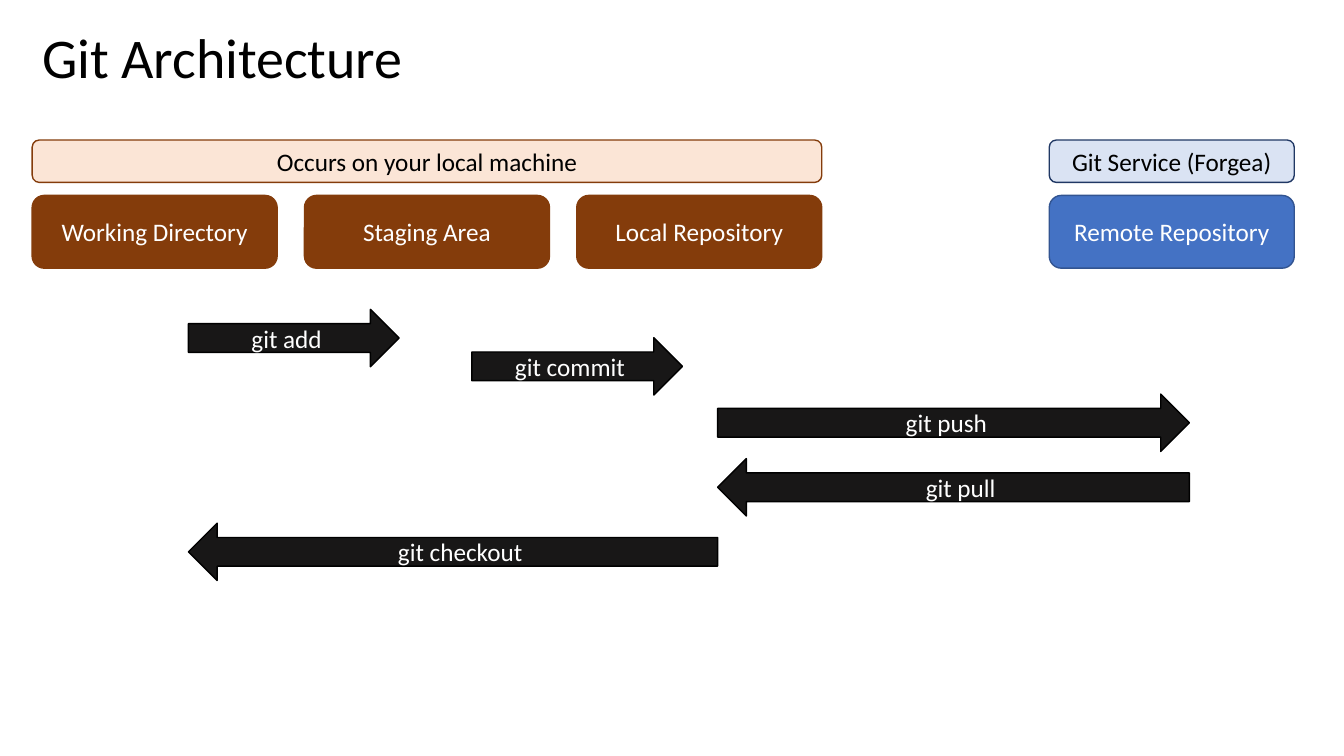
from pptx import Presentation
from pptx.dml.color import RGBColor
from pptx.enum.shapes import MSO_SHAPE as Preset
from pptx.enum.text import MSO_ANCHOR as Anchor, MSO_AUTO_SIZE as AutoSize, PP_ALIGN as Align
from pptx.util import Pt

FONT = "Calibri"
BLACK, WHITE, BROWN = "000000", "FFFFFF", "843C0B"
BANNER_HEIGHT, AREA_HEIGHT, AREA_OFFSET = 30.3, 52, 39.6
AREA_WIDTH, AREA_GAP = 175, 19.5
ARROW_HEIGHT = 41


def color(value):
    return RGBColor.from_string(value)


def style_text(paragraph, text, size, text_color):
    paragraph.text = text
    paragraph.font.name = FONT
    paragraph.font.size = Pt(size)
    paragraph.font.color.rgb = color(text_color)


def add_title(slide, left, top, width, height, text):
    title = slide.shapes.add_textbox(Pt(left), Pt(top), Pt(width), Pt(height))
    title.text_frame.word_wrap = True
    title.text_frame.auto_size = AutoSize.SHAPE_TO_FIT_TEXT
    style_text(title.text_frame.paragraphs[0], text, 40, BLACK)


def add_label(slide, preset, box, text, fill, line, text_color):
    shape = slide.shapes.add_shape(preset, *map(Pt, box))
    shape.shadow.inherit = False
    shape.fill.solid()
    shape.fill.fore_color.rgb = color(fill)
    shape.line.color.rgb = color(line)
    shape.line.width = Pt(1)
    frame = shape.text_frame
    frame.word_wrap = True
    frame.vertical_anchor = Anchor.MIDDLE
    style_text(frame.paragraphs[0], text, 18, text_color)
    frame.paragraphs[0].alignment = Align.CENTER


def add_host(slide, left, top, name, areas, banner_colors, area_colors):
    step = AREA_WIDTH + AREA_GAP
    width = len(areas) * step - AREA_GAP
    add_label(slide, Preset.ROUNDED_RECTANGLE, (left, top, width, BANNER_HEIGHT),
              name, *banner_colors, BLACK)
    for index, area in enumerate(areas):
        box = (left + index * step, top + AREA_OFFSET, AREA_WIDTH, AREA_HEIGHT)
        add_label(slide, Preset.ROUNDED_RECTANGLE, box, area, *area_colors, WHITE)


def add_commands(slide, left, top, commands):
    for text, start, end, offset in commands:
        preset = Preset.RIGHT_ARROW if start < end else Preset.LEFT_ARROW
        box = (left + min(start, end), top + offset, abs(end - start), ARROW_HEIGHT)
        add_label(slide, preset, box, text, "181717", BLACK, WHITE)


presentation = Presentation()
presentation.slide_width, presentation.slide_height = Pt(960), Pt(540)
slide = presentation.slides.add_slide(presentation.slide_layouts[6])

add_title(slide, 23, 12.2, 294, 55.7, "Git Architecture")
add_host(slide, 23, 100, "Occurs on your local machine",
         ["Working Directory", "Staging Area", "Local Repository"],
         ("FBE5D6", BROWN), (BROWN, BROWN))
add_host(slide, 749.5, 100, "Git Service (Forgea)", ["Remote Repository"],
         ("DAE3F3", "203864"), ("4472C4", "325491"))

WORKING, LOCAL, REMOTE = 0, 378, 715
add_commands(slide, 134.6, 221, [
    ("git add", WORKING, 150.5, 0),
    ("git commit", 202.4, 352.9, 20.2),
    ("git push", LOCAL, REMOTE, 60.5),
    ("git pull", REMOTE, LOCAL, 106.6),
    ("git checkout", LOCAL, WORKING, 152.7),
])

presentation.save("out.pptx")
